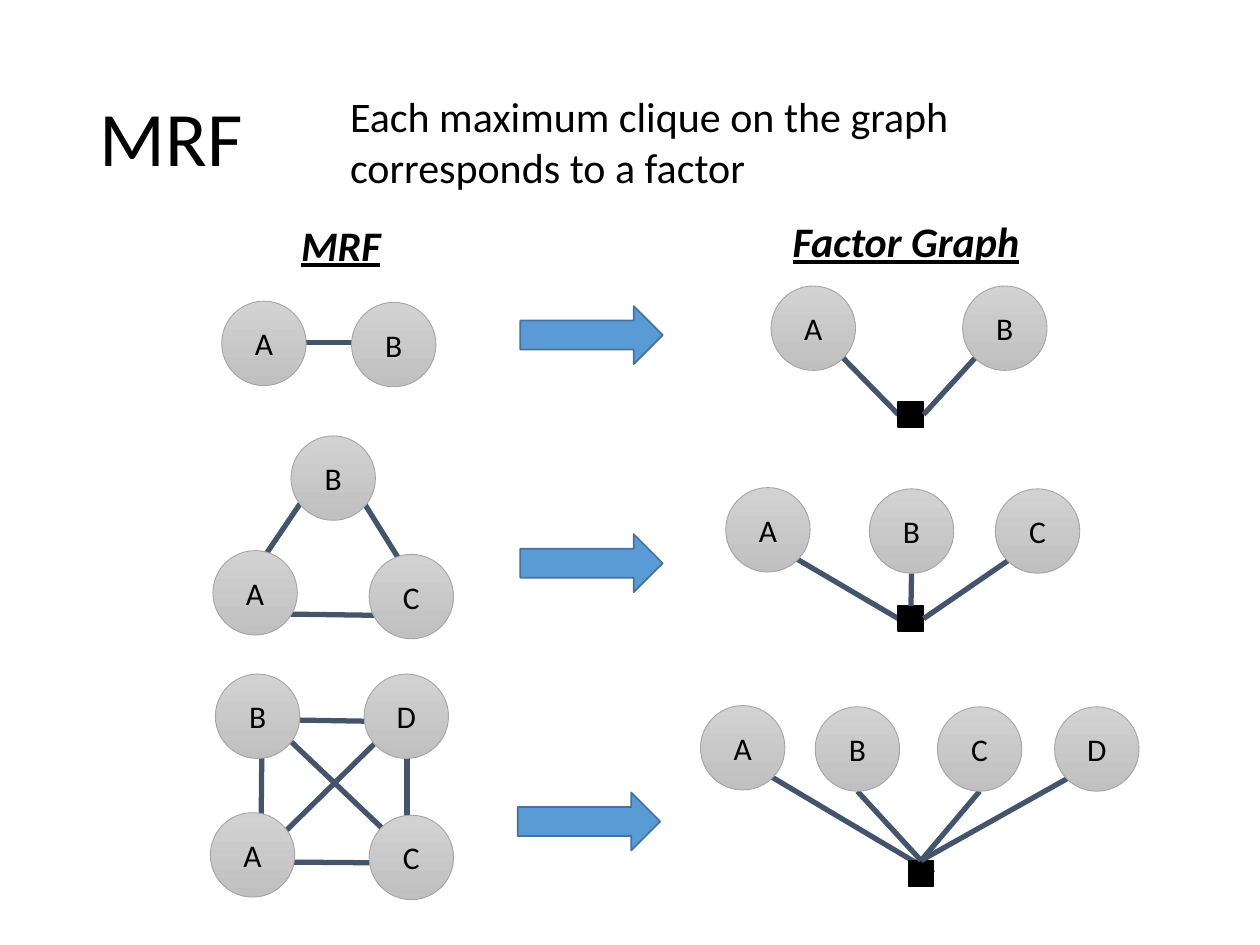
from lxml import etree
from pptx import Presentation
from pptx.dml.color import RGBColor
from pptx.enum import shapes, text
from pptx.oxml.ns import qn
from pptx.util import Inches, Pt

BLACK = RGBColor(0x00, 0x00, 0x00)
EDGE = RGBColor(0x44, 0x54, 0x6A)
NODE_LIGHT = RGBColor(0xD2, 0xD2, 0xD2)
NODE_DARK = RGBColor(0xC0, 0xC0, 0xC0)
NODE_LINE = RGBColor(0xA5, 0xA5, 0xA5)
ARROW = RGBColor(0x5B, 0x9B, 0xD5)
ARROW_LINE = RGBColor(0x43, 0x73, 0x9E)
NODE_SIZE = 0.67
FACTOR_SIZE = 0.2
TOP, LEFT, RIGHT = 0, 1, 3


def write(shape, words, size, align=text.PP_ALIGN.LEFT, spacing=None,
          anchor=text.MSO_ANCHOR.TOP, emphasis=None, grow=False):
    frame = shape.text_frame
    frame.word_wrap = True
    frame.vertical_anchor = anchor
    if grow:
        frame.auto_size = text.MSO_AUTO_SIZE.SHAPE_TO_FIT_TEXT
    paragraph = frame.paragraphs[0]
    paragraph.alignment = align
    paragraph.line_spacing = spacing
    run = paragraph.add_run()
    run.text = words
    run.font.name = "Calibri"
    run.font.size = Pt(size)
    run.font.color.rgb = BLACK
    run.font.bold = run.font.italic = run.font.underline = emphasis


def add_edge(parent, *ends):
    edge = parent.add_connector(shapes.MSO_CONNECTOR.STRAIGHT, *map(Inches, ends))
    edge.line.color.rgb = EDGE
    edge.line.width = Pt(3)
    etree.SubElement(edge._element.spPr, qn("a:effectLst"))
    return edge


deck = Presentation()
deck.slide_width, deck.slide_height = Inches(10), Inches(7.5)
slide = deck.slides.add_slide(deck.slide_layouts[5])

title = slide.shapes.title
title.left, title.top = Inches(0.69), Inches(0.4)
title.width, title.height = Inches(8.62), Inches(1.45)
write(title, "MRF", 44, spacing=0.9, anchor=text.MSO_ANCHOR.MIDDLE)

statement = slide.shapes.add_textbox(Inches(2.68), Inches(0.67), Inches(5.38), Inches(0.91))
write(statement, "Each maximum clique on the graph corresponds to a factor", 24, grow=True)

for words, left, top, width in [("Factor Graph", 5.92, 1.66, 2.54), ("MRF", 2, 1.69, 1.41)]:
    heading = slide.shapes.add_textbox(Inches(left), Inches(top), Inches(width), Inches(0.5))
    write(heading, words, 24, align=text.PP_ALIGN.CENTER, emphasis=True, grow=True)

mrf_graphs = [
    ([("A", 1.76, 2.39), ("B", 2.79, 2.4)],
     [(2.43, 2.72, 2.84, 2.72)]),
    ([("A", 1.69, 4.37), ("B", 2.31, 3.46), ("C", 2.93, 4.4)],
     [(1.88, 4.74, 2.59, 3.69), (3.48, 4.94, 2.77, 3.8), (2, 4.87, 3.43, 4.89)]),
    ([("A", 1.67, 6.45), ("B", 1.71, 5.35), ("C", 2.93, 6.47), ("D", 2.89, 5.35)],
     [(3.24, 6.77, 2.22, 5.8), (2.05, 6.81, 3.24, 5.64), (2.07, 6.83, 2.08, 5.75),
      (3.27, 5.73, 2.06, 5.71), (3.27, 6.85, 2.01, 6.84), (3.23, 6.78, 3.23, 5.71)]),
]
factor_graphs = [
    ([("A", 6.12, 2.27), ("B", 7.64, 2.27)], (7.13, 3.19), [LEFT, RIGHT]),
    ([("A", 5.76, 3.87), ("B", 6.9, 3.88), ("C", 7.9, 3.88)], (7.13, 4.81),
     [LEFT, TOP, RIGHT]),
    ([("A", 5.56, 5.6), ("B", 6.47, 5.61), ("C", 7.44, 5.61), ("D", 8.37, 5.61)],
     (7.21, 6.83), [RIGHT, TOP, TOP, TOP]),
]

node_groups = []
for nodes, edges in mrf_graphs:
    graph = slide.shapes.add_group_shape().shapes
    for ends in edges:
        add_edge(graph, *ends)
    node_groups.append((graph, nodes))

for nodes, (factor_left, factor_top), sides in factor_graphs:
    edges = []
    for i, (name, left, top) in enumerate(nodes):
        if i == 0:
            across, down = 0.85, 0.85
        elif i == len(nodes) - 1:
            across, down = 0.15, 0.85
        else:
            across, down = 0.5, 1
        edges.append(add_edge(slide.shapes, left + across * NODE_SIZE,
                              top + down * NODE_SIZE, factor_left, factor_top))
        if i == 0:
            factor = slide.shapes.add_shape(
                shapes.MSO_SHAPE.RECTANGLE, Inches(factor_left), Inches(factor_top),
                Inches(FACTOR_SIZE), Inches(FACTOR_SIZE))
            factor.shadow.inherit = False
            factor.fill.solid()
            factor.fill.fore_color.rgb = BLACK
            factor.line.color.rgb = BLACK
            factor.line.width = Pt(1)
    for edge, side in zip(edges, sides):
        edge.end_connect(factor, side)
    node_groups.append((slide.shapes, nodes))

for graph, nodes in node_groups:
    for name, left, top in nodes:
        node = graph.add_shape(shapes.MSO_SHAPE.OVAL, Inches(left), Inches(top),
                               Inches(NODE_SIZE), Inches(NODE_SIZE))
        node.shadow.inherit = False
        node.fill.gradient()
        node.fill.gradient_angle = 270
        for stop, position, color in zip(node.fill.gradient_stops, (0, 1),
                                         (NODE_LIGHT, NODE_DARK)):
            stop.position = position
            stop.color.rgb = color
        node.line.color.rgb = NODE_LINE
        node.line.width = Pt(0.5)
        write(node, name, 18, align=text.PP_ALIGN.CENTER, anchor=text.MSO_ANCHOR.MIDDLE)

for left, top in [(4.13, 2.43), (4.13, 4.24), (4.11, 6.29)]:
    arrow = slide.shapes.add_shape(shapes.MSO_SHAPE.RIGHT_ARROW, Inches(left), Inches(top),
                                   Inches(1.13), Inches(0.46))
    arrow.shadow.inherit = False
    arrow.fill.solid()
    arrow.fill.fore_color.rgb = ARROW
    arrow.line.color.rgb = ARROW_LINE
    arrow.line.width = Pt(1)

deck.save("out.pptx")
